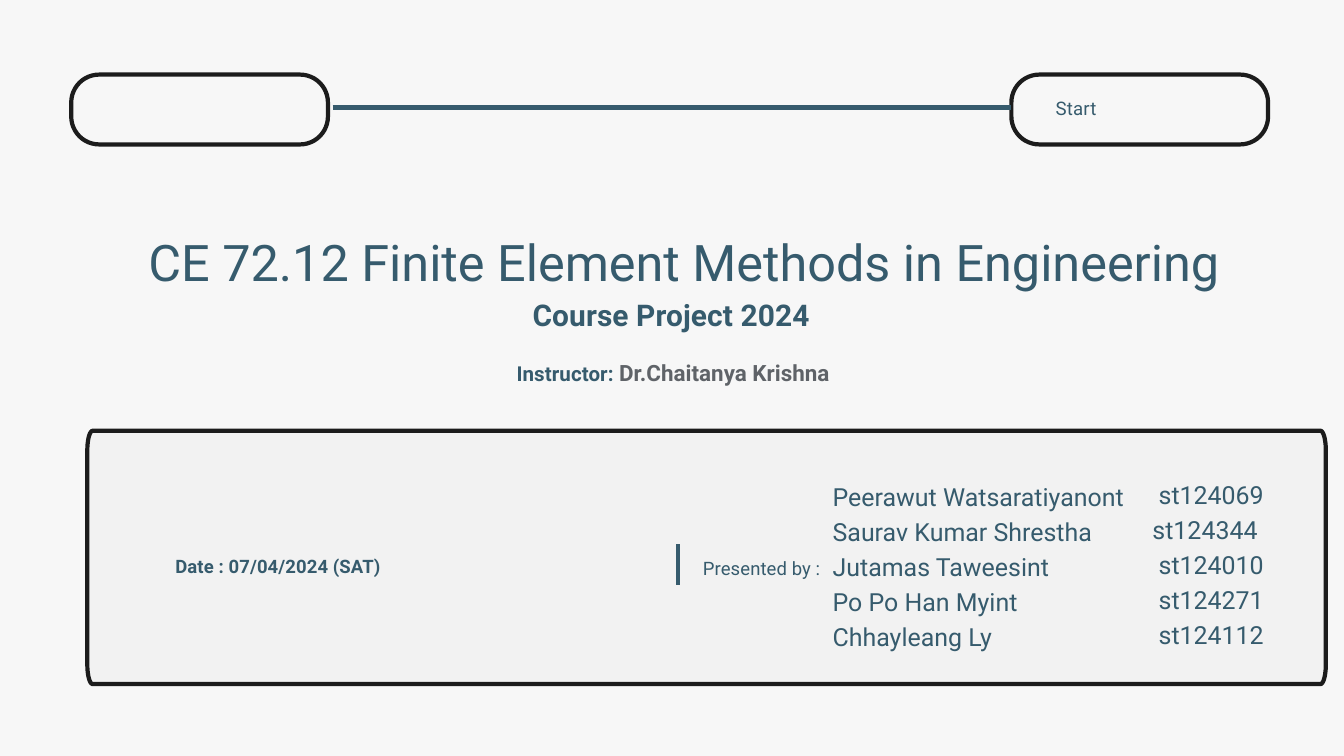
from math import cos, pi, sin

from lxml import etree
from pptx import Presentation
from pptx.dml.color import RGBColor
from pptx.enum.shapes import MSO_CONNECTOR, MSO_SHAPE
from pptx.enum.text import MSO_AUTO_SIZE, PP_ALIGN
from pptx.oxml.ns import qn
from pptx.util import Inches, Pt

ROUNDED = MSO_SHAPE.ROUNDED_RECTANGLE
STRAIGHT = MSO_CONNECTOR.STRAIGHT
FIT = MSO_AUTO_SIZE.SHAPE_TO_FIT_TEXT
LEFT, CENTER = PP_ALIGN.LEFT, PP_ALIGN.CENTER

SLIDE_W, SLIDE_H = 20, 11.25
FONT = "Roboto"
PAPER, PANEL, INK, TEAL, GRAY = "F7F7F7", "F2F2F2", "1C1C1C", "365B6D", "5F6368"
STROKE = 4.5
NAMES = ["Peerawut Watsaratiyanont", "Saurav Kumar Shrestha",
         "Jutamas Taweesint", "Po Po Han Myint", "Chhayleang Ly"]
# The first paragraph wraps after the first number
IDS = ["st124069 st124344", "st124010", "st124271", "st124112"]


def rgb(value):
    return RGBColor.from_string(value)


def x(share):
    """Percent of the slide's width."""
    return Inches(SLIDE_W * share / 100)


def y(share):
    """Percent of the slide's height."""
    return Inches(SLIDE_H * share / 100)


def style(sp, fill):
    sp.shadow.inherit = False
    sp.fill.solid()
    sp.fill.fore_color.rgb = rgb(fill)
    sp.line.color.rgb = rgb(INK)
    sp.line.width = Pt(STROKE)


def add_pill(s, left):
    sp = s.shapes.add_shape(ROUNDED, x(left), y(9.87), x(19.1), y(9.24))
    sp.adjustments[0] = 0.4
    style(sp, PAPER)


def add_panel(s, left, top, width, height, rx, ry, steps=12):
    """Rectangle with elliptical corners, drawn clockwise from the top left."""
    right, bottom = left + width - rx, top + height - ry
    centers = [(left + rx, top + ry), (right, top + ry),
               (right, bottom), (left + rx, bottom)]
    points = []
    for corner, (cx, cy) in enumerate(centers):
        for i in range(steps + 1):
            angle = pi + (corner + i / steps) * pi / 2
            points.append((x(cx + rx * cos(angle)), y(cy + ry * sin(angle))))
    builder = s.shapes.build_freeform(*points[0])
    builder.add_line_segments(points[1:], close=True)
    style(builder.convert_to_shape(), PANEL)


def add_line(s, x1, y1, x2, y2):
    line = s.shapes.add_connector(STRAIGHT, x(x1), y(y1), x(x2), y(y2))
    line.line.color.rgb = rgb(TEAL)
    line.line.width = Pt(STROKE)
    etree.SubElement(line._element.spPr, qn("a:effectLst"))


def add_run(p, text, size, color=TEAL, bold=False, tracking=0):
    r = p.add_run()
    r.text = text
    r.font.name = FONT
    r.font.size = Pt(size)
    r.font.bold = bold
    r.font.color.rgb = rgb(color)
    r._r.get_or_add_rPr().set("spc", str(round(tracking * 100)))


def add_text(s, paragraphs, left, top, width, height, *, spacing,
             align=LEFT, indent=0, **run_format):
    """Place paragraphs in a box and return the last one."""
    box = s.shapes.add_textbox(x(left), y(top), x(width), y(height))
    tf = box.text_frame
    tf.margin_left = tf.margin_top = tf.margin_right = tf.margin_bottom = 0
    tf.word_wrap = True
    tf.auto_size = FIT
    for i, text in enumerate(paragraphs):
        p = tf.add_paragraph() if i else tf.paragraphs[0]
        p.alignment = align
        p.line_spacing = Pt(spacing)
        if indent:
            p._p.get_or_add_pPr().set("indent", str(x(indent)))
        add_run(p, text, **run_format)
    return p


def main():
    prs = Presentation()
    prs.slide_width, prs.slide_height = Inches(SLIDE_W), Inches(SLIDE_H)
    s = prs.slides.add_slide(prs.slide_layouts[6])
    s.background.fill.solid()
    s.background.fill.fore_color.rgb = rgb(PAPER)

    # Frames and rules
    add_pill(s, 5.3)
    add_panel(s, 6.5, 56.98, 92.15, 33.51, rx=0.4, ry=2.58)
    add_line(s, 50.45, 72, 50.45, 77.33)
    add_pill(s, 75.25)
    add_line(s, 24.75, 14.22, 75.25, 14.22)
    add_text(s, ["Start"], 78.55, 13.33, 6.6, 2.76,
             spacing=20, size=20, tracking=0.1)

    # Title block
    add_text(s, ["CE 72.12 Finite Element Methods in Engineering"],
             5.7, 22.67, 90.4, 13.42, spacing=128.3, align=CENTER, size=54)
    add_text(s, ["Course Project 2024 "], 18.45, 40.18, 63.55, 3.91,
             spacing=30.8, align=CENTER, size=32, bold=True, tracking=0.1)
    p = add_text(s, ["Instructor: "], 18.3, 47.2, 63.55, 3.64,
                 spacing=30.8, align=CENTER, size=22, bold=True, tracking=0.1)
    add_run(p, "Dr.Chaitanya Krishna", 24, GRAY, bold=True)

    # Date and presenters
    add_text(s, ["Date : 07/04/2024 (SAT)"], 13.05, 73.87, 24.6, 2.49,
             spacing=19.8, size=19.8, bold=True, tracking=0.1)
    add_text(s, ["Presented by :"], 52.3, 74.13, 10, 2.49,
             spacing=19.8, size=19.8, tracking=0.1)
    add_text(s, NAMES, 61.95, 63.11, 23.75, 22.58, spacing=37.3, size=26.7)
    add_text(s, IDS, 85.75, 62.84, 9.65, 22.58,
             spacing=37.3, indent=0.46, size=26.7)

    prs.save("out.pptx")


if __name__ == "__main__":
    main()
